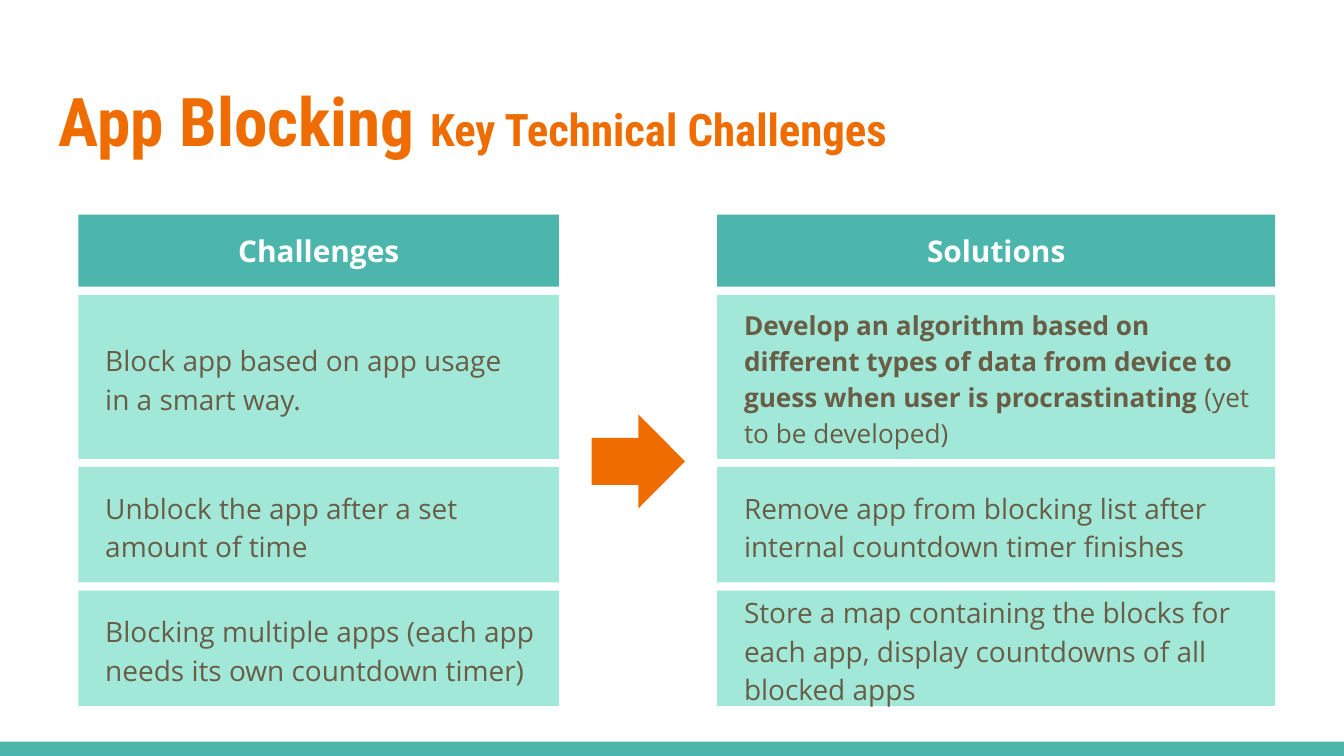
from lxml import etree
from pptx import Presentation
from pptx.dml.color import RGBColor
from pptx.enum.shapes import MSO_SHAPE as Preset
from pptx.enum.text import MSO_ANCHOR as Anchor, PP_ALIGN as Align
from pptx.util import Pt

COLORS = {"orange": "EF6C00", "teal": "4DB6AC", "mint": "A1E8D9",
          "brown": "695D46", "white": "FFFFFF"}
HEADING = {"name": "Roboto Condensed", "bold": True, "color": "orange"}
HEADER = {"name": "Open Sans", "size": Pt(16), "bold": True, "color": "white"}
BODY = {"name": "Open Sans", "size": Pt(15), "bold": False, "color": "brown"}
SMALL = BODY | {"size": Pt(14)}

INSET, INDENT = 7.2, 14.4
ROW_TOP, ROW_GAP = 115, 4.4
ROW_HEIGHTS = (38.6, 87.9, 61.8, 61.8)

# Each column: left, width, header, then rows of (right inset, spans).
COLUMNS = [
    (42, 257.5, "Challenges", [
        (INDENT, [("Block app based on app usage in a smart way.", BODY)]),
        (INSET, [("Unblock the app after a set amount of time", BODY)]),
        (INSET, [("Blocking multiple apps (each app needs its own countdown timer)", BODY)]),
    ]),
    (384.2, 299, "Solutions", [
        (INSET, [("Develop an algorithm based on different types of data from device "
                  "to guess when user is procrastinating", SMALL | {"bold": True}),
                 (" (yet to be developed)", SMALL)]),
        (INSET, [("Remove app from blocking list after internal countdown timer finishes", BODY)]),
        (INSET, [("Store a map containing the blocks for each app, display countdowns "
                  "of all blocked apps", BODY)]),
    ]),
]


def rgb(name):
    return RGBColor.from_string(COLORS[name])


def add_block(page, preset, bounds, color):
    block = page.shapes.add_shape(preset, *map(Pt, bounds))
    block.shadow.inherit = False
    block.fill.solid()
    block.fill.fore_color.rgb = rgb(color)
    block.line.fill.background()
    return block


def write(box, spans, left=INSET, right=INSET, anchor=Anchor.MIDDLE,
          align=Align.LEFT, spacing=1.0):
    """Fill the box with one paragraph of (text, font format) spans."""
    frame = box.text_frame
    settings = {"word_wrap": True, "vertical_anchor": anchor,
                "margin_left": Pt(left), "margin_right": Pt(right),
                "margin_top": Pt(INSET), "margin_bottom": Pt(INSET)}
    for key, value in settings.items():
        setattr(frame, key, value)
    para = frame.paragraphs[0]
    para.alignment = align
    para.line_spacing = spacing
    for text, style in spans:
        span = para.add_run()
        span.text = text
        for key, value in style.items():
            if key == "color":
                span.font.color.rgb = rgb(value)
            else:
                setattr(span.font, key, value)


def add_title(page):
    box = page.shapes.add_textbox(*map(Pt, (24.5, 35.3, 671, 55.4)))
    write(box, [("App Blocking ", HEADING | {"size": Pt(36)}),
                ("Key Technical Challenges", HEADING | {"size": Pt(24)})],
          anchor=Anchor.TOP)


def add_column(page, left, width, header, rows):
    top = ROW_TOP
    for index, height in enumerate(ROW_HEIGHTS):
        bounds = (left, top, width, height)
        if index == 0:
            write(add_block(page, Preset.RECTANGLE, bounds, "teal"),
                  [(header, HEADER)], align=Align.CENTER)
        else:
            right, spans = rows[index - 1]
            write(add_block(page, Preset.RECTANGLE, bounds, "mint"),
                  spans, left=INDENT, right=right, spacing=1.15)
        top += height + ROW_GAP


def main():
    deck = Presentation()
    deck.slide_width, deck.slide_height = Pt(720), Pt(405)
    page = deck.slides.add_slide(deck.slide_layouts[6])
    add_block(page, Preset.RECTANGLE, (0, 397.4, 720, 7.6), "teal")
    add_title(page)
    for column in COLUMNS:
        add_column(page, *column)
    add_block(page, Preset.RIGHT_ARROW, (317, 222, 50, 50.4), "orange")
    deck.save("out.pptx")


if __name__ == "__main__":
    main()
